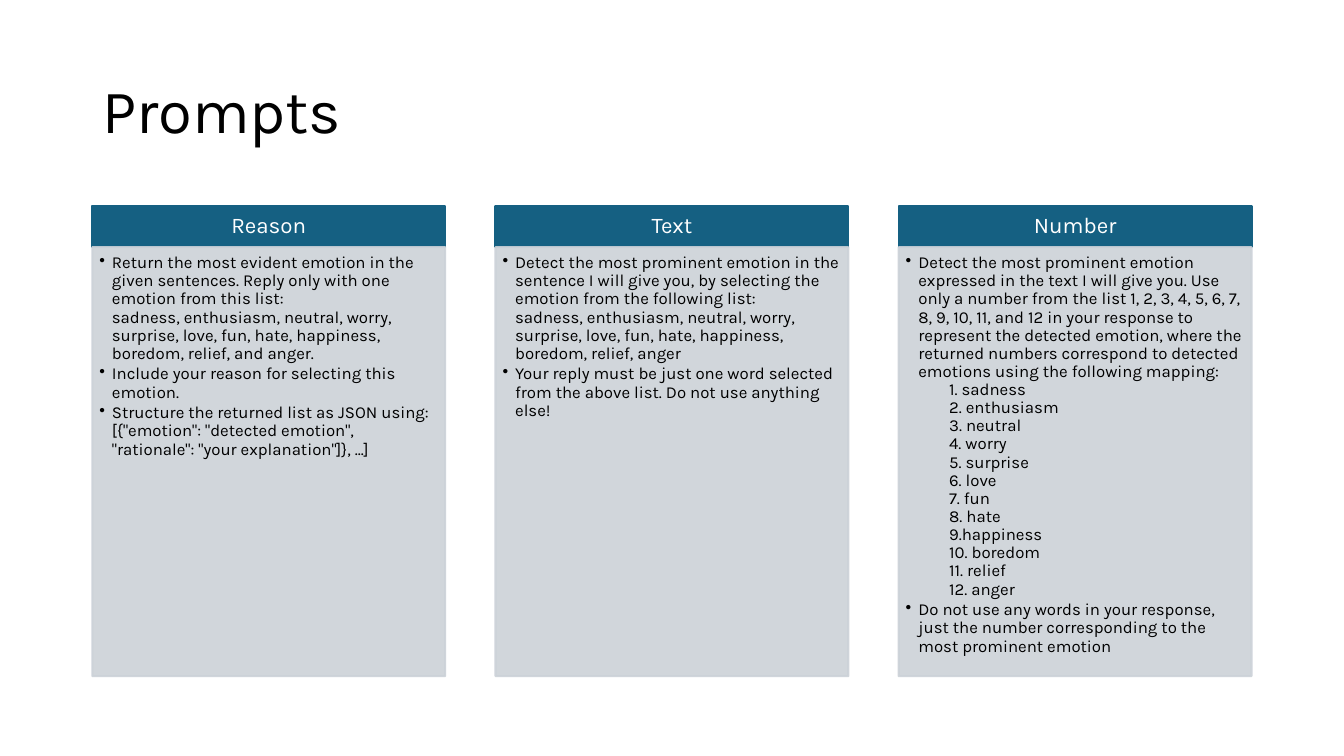
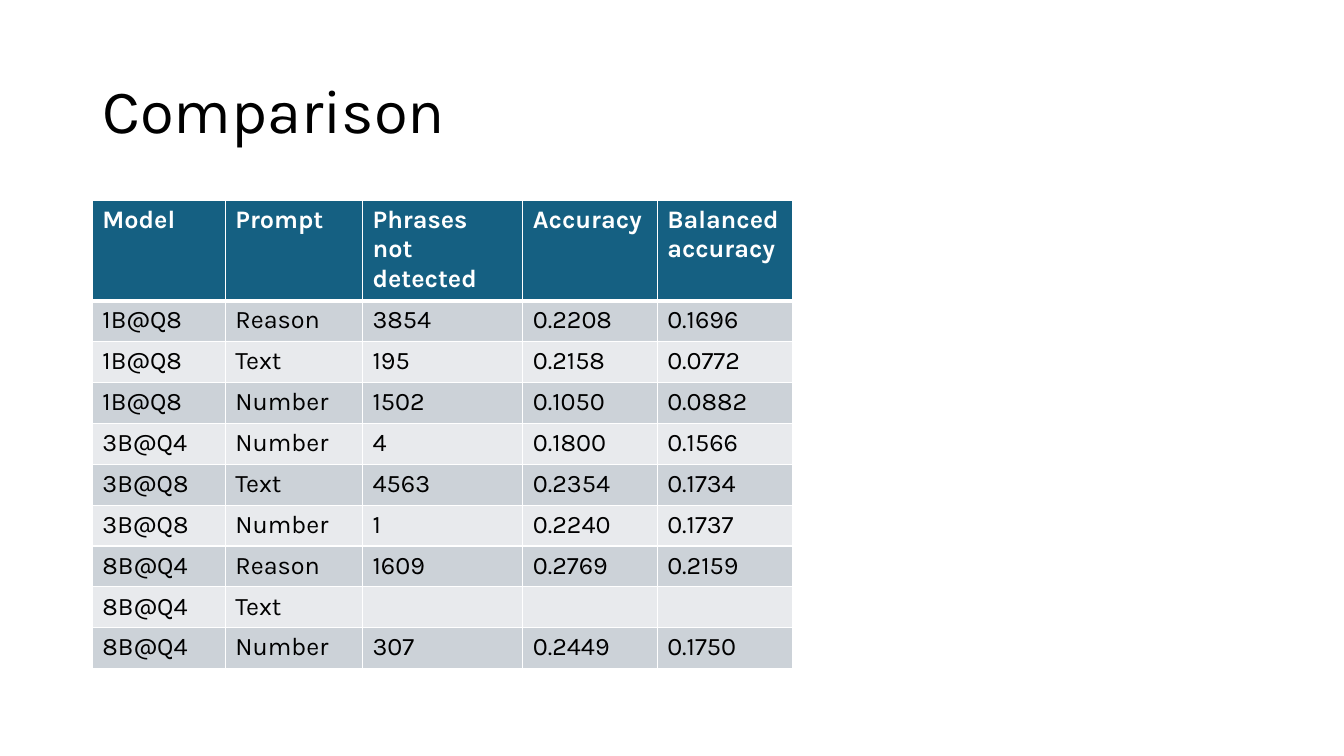
from lxml import etree
from pptx import Presentation
from pptx.dml.color import RGBColor
from pptx.enum import shapes, text
from pptx.oxml import ns
from pptx.util import Pt

FONT = "Karla"
BLACK = RGBColor(0x00, 0x00, 0x00)
WHITE = RGBColor(0xFF, 0xFF, 0xFF)
BLUE = RGBColor(0x15, 0x60, 0x82)
GREY = RGBColor(0xCC, 0xD2, 0xD8)
PALE = RGBColor(0xE8, 0xEA, 0xED)

SLIDE_W, SLIDE_H = Pt(960), Pt(540)
MARGIN = Pt(66)
CONTENT_W = SLIDE_W - 2 * MARGIN

# Prompt columns: heading, then (kind, lines) items
BULLET, MAPPING = "bullet", "mapping"
PROMPTS = [
    ("Reason", [
        (BULLET, ["Return the most evident emotion in the given sentences. "
                  "Reply only with one emotion from this list:",
                  "sadness, enthusiasm, neutral, worry, surprise, love, fun, "
                  "hate, happiness, boredom, relief, and anger."]),
        (BULLET, ["Include your reason for selecting this emotion."]),
        (BULLET, ["Structure the returned list as JSON using: "
                  '[{"emotion": "detected emotion", '
                  '"rationale": "your explanation"]}, ...]']),
    ]),
    ("Text", [
        (BULLET, ["Detect the most prominent emotion in the sentence I will "
                  "give you, by selecting the emotion from the following list:",
                  "sadness, enthusiasm, neutral, worry, surprise, love, fun, "
                  "hate, happiness, boredom, relief, anger"]),
        (BULLET, ["Your reply must be just one word selected from the above "
                  "list. Do not use anything else!"]),
    ]),
    ("Number", [
        (BULLET, ["Detect the most prominent emotion expressed in the text I "
                  "will give you. Use only a number from the list 1, 2, 3, 4, "
                  "5, 6, 7, 8, 9, 10, 11, and 12 in your response to represent "
                  "the detected emotion, where the returned numbers correspond "
                  "to detected emotions using the following mapping:"]),
        (MAPPING, ["1. sadness", "2. enthusiasm", "3. neutral", "4. worry",
                   "5. surprise", "6. love", "7. fun", "8. hate",
                   "9.happiness", "10. boredom", "11. relief", "12. anger"]),
        (BULLET, ["Do not use any words in your response, just the number "
                  "corresponding to the most prominent emotion"]),
    ]),
]

RESULTS = [
    ("Model", "Prompt", "Phrases not detected", "Accuracy", "Balanced accuracy"),
    ("1B@Q8", "Reason", "3854", "0.2208", "0.1696"),
    ("1B@Q8", "Text", "195", "0.2158", "0.0772"),
    ("1B@Q8", "Number", "1502", "0.1050", "0.0882"),
    ("3B@Q4", "Number", "4", "0.1800", "0.1566"),
    ("3B@Q8", "Text", "4563", "0.2354", "0.1734"),
    ("3B@Q8", "Number", "1", "0.2240", "0.1737"),
    ("8B@Q4", "Reason", "1609", "0.2769", "0.2159"),
    ("8B@Q4", "Text", "", "", ""),
    ("8B@Q4", "Number", "307", "0.2449", "0.1750"),
]


# Shared helpers
def add_run(paragraph, words, size, colour, bold=False):
    run = paragraph.add_run()
    run.text = words
    run.font.name = FONT
    run.font.size = Pt(size)
    run.font.bold = bold
    run.font.color.rgb = colour


def set_insets(frame, left, top, right, bottom):
    frame.margin_left, frame.margin_top = Pt(left), Pt(top)
    frame.margin_right, frame.margin_bottom = Pt(right), Pt(bottom)


def add_titled_slide(deck, title):
    slide = deck.slides.add_slide(deck.slide_layouts[6])
    box = slide.shapes.add_textbox(MARGIN, Pt(28.8), CONTENT_W, Pt(104.4))
    frame = box.text_frame
    frame.word_wrap = True
    frame.vertical_anchor = text.MSO_ANCHOR.MIDDLE
    paragraph = frame.paragraphs[0]
    paragraph.line_spacing = 0.9
    add_run(paragraph, title, 44, BLACK)
    return slide


def add_panel(slide, left, top, width, height, colour):
    panel = slide.shapes.add_shape(
        shapes.MSO_SHAPE.RECTANGLE, left, top, width, height)
    panel.shadow.inherit = False
    panel.fill.solid()
    panel.fill.fore_color.rgb = colour
    panel.line.color.rgb = colour
    panel.line.width = Pt(1.5)
    panel.text_frame.word_wrap = True
    return panel


def make_translucent(panel, percent):
    for colour in panel.element.spPr.iter(ns.qn("a:srgbClr")):
        alpha = etree.SubElement(colour, ns.qn("a:alpha"))
        alpha.set("val", str(percent * 1000))


# Prompts slide
def set_indent(paragraph, margin, hanging=0, bullet=None):
    props = paragraph._p.get_or_add_pPr()
    props.set("marL", str(Pt(margin)))
    props.set("indent", str(-Pt(hanging)))
    if bullet:
        etree.SubElement(props, ns.qn("a:buChar")).set("char", bullet)
    else:
        etree.SubElement(props, ns.qn("a:buNone"))


def add_prompt_text(frame, items):
    paragraph = None
    for index, (kind, lines) in enumerate(items):
        paragraph = frame.add_paragraph() if index else frame.paragraphs[0]
        if kind == BULLET:
            set_indent(paragraph, 9, 9, "•")
        else:
            set_indent(paragraph, 31)
        paragraph.alignment = text.PP_ALIGN.LEFT
        paragraph.line_spacing = 0.9
        leads_mapping = items[index + 1:] and items[index + 1][0] == MAPPING
        paragraph.space_after = Pt(0 if leads_mapping else 1.8)
        for number, line in enumerate(lines):
            if number:
                paragraph.add_line_break()
            add_run(paragraph, line, 12, BLACK)


def add_prompt_column(slide, left, top, width, height, heading, items):
    heading_h = Pt(29.5)
    header = add_panel(slide, left, top, width, heading_h, BLUE)
    header.text_frame.vertical_anchor = text.MSO_ANCHOR.MIDDLE
    set_insets(header.text_frame, 8.5, 5, 8.5, 5)
    paragraph = header.text_frame.paragraphs[0]
    paragraph.alignment = text.PP_ALIGN.CENTER
    paragraph.line_spacing = 0.9
    add_run(paragraph, heading, 16, WHITE)

    body = add_panel(slide, left, top + heading_h, width, height - heading_h, GREY)
    make_translucent(body, 90)
    body.text_frame.vertical_anchor = text.MSO_ANCHOR.TOP
    set_insets(body.text_frame, 5, 5, 6.5, 7)
    add_prompt_text(body.text_frame, items)


def build_prompts(deck):
    slide = add_titled_slide(deck, "Prompts")
    gap = Pt(36)
    width = (CONTENT_W - gap * (len(PROMPTS) - 1)) // len(PROMPTS)
    for index, (heading, items) in enumerate(PROMPTS):
        add_prompt_column(slide, MARGIN + index * (width + gap), Pt(147),
                          width, Pt(336), heading, items)


# Comparison slide
def set_borders(cell, top, bottom):
    props = cell._tc.get_or_add_tcPr()
    sides = (("lnL", 1), ("lnR", 1), ("lnT", top), ("lnB", bottom))
    for position, (side, width) in enumerate(sides):
        line = etree.Element(ns.qn("a:" + side), w=str(Pt(width)))
        fill = etree.SubElement(line, ns.qn("a:solidFill"))
        etree.SubElement(fill, ns.qn("a:srgbClr")).set("val", str(WHITE))
        props.insert(position, line)


def add_results_table(slide, left, top, widths, header_h, row_h):
    height = header_h + row_h * (len(RESULTS) - 1)
    table = slide.shapes.add_table(
        len(RESULTS), len(widths), left, top, Pt(sum(widths)), height).table
    for column, width in zip(table.columns, widths):
        column.width = Pt(width)
    for r, values in enumerate(RESULTS):
        is_header = r == 0
        table.rows[r].height = header_h if is_header else row_h
        for c, value in enumerate(values):
            cell = table.cell(r, c)
            cell.fill.solid()
            cell.fill.fore_color.rgb = BLUE if is_header else GREY if r % 2 else PALE
            set_borders(cell, 3 if r == 1 else 1, 3 if is_header else 1)
            if value:
                add_run(cell.text_frame.paragraphs[0], value, 18,
                        WHITE if is_header else BLACK, is_header)


def build_comparison(deck):
    slide = add_titled_slide(deck, "Comparison")
    add_results_table(slide, MARGIN, Pt(142.8), (95, 98, 114.5, 96, 97),
                      Pt(70), Pt(29.2))


def main():
    deck = Presentation()
    deck.slide_width, deck.slide_height = SLIDE_W, SLIDE_H
    build_prompts(deck)
    build_comparison(deck)
    deck.save("out.pptx")


if __name__ == "__main__":
    main()
